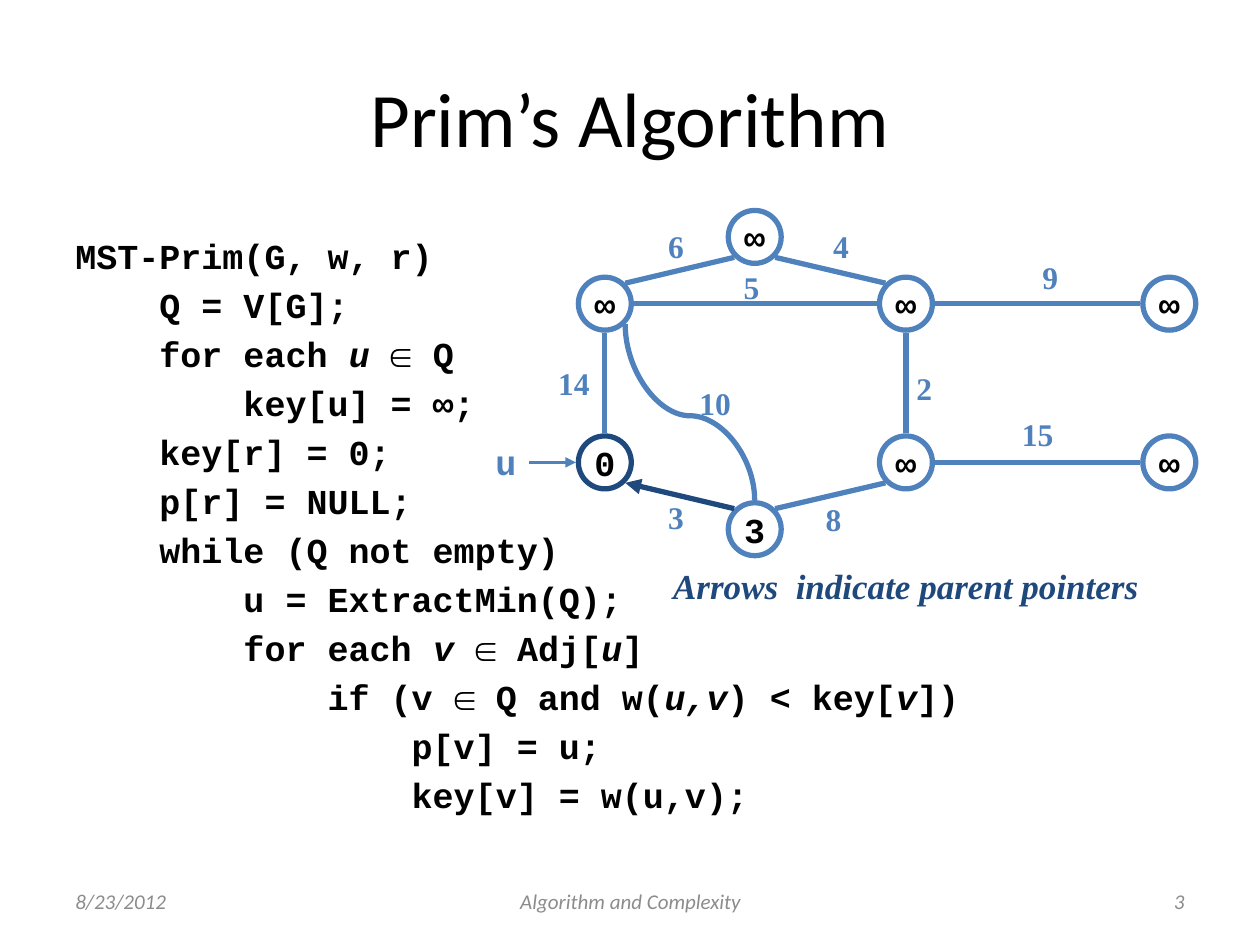
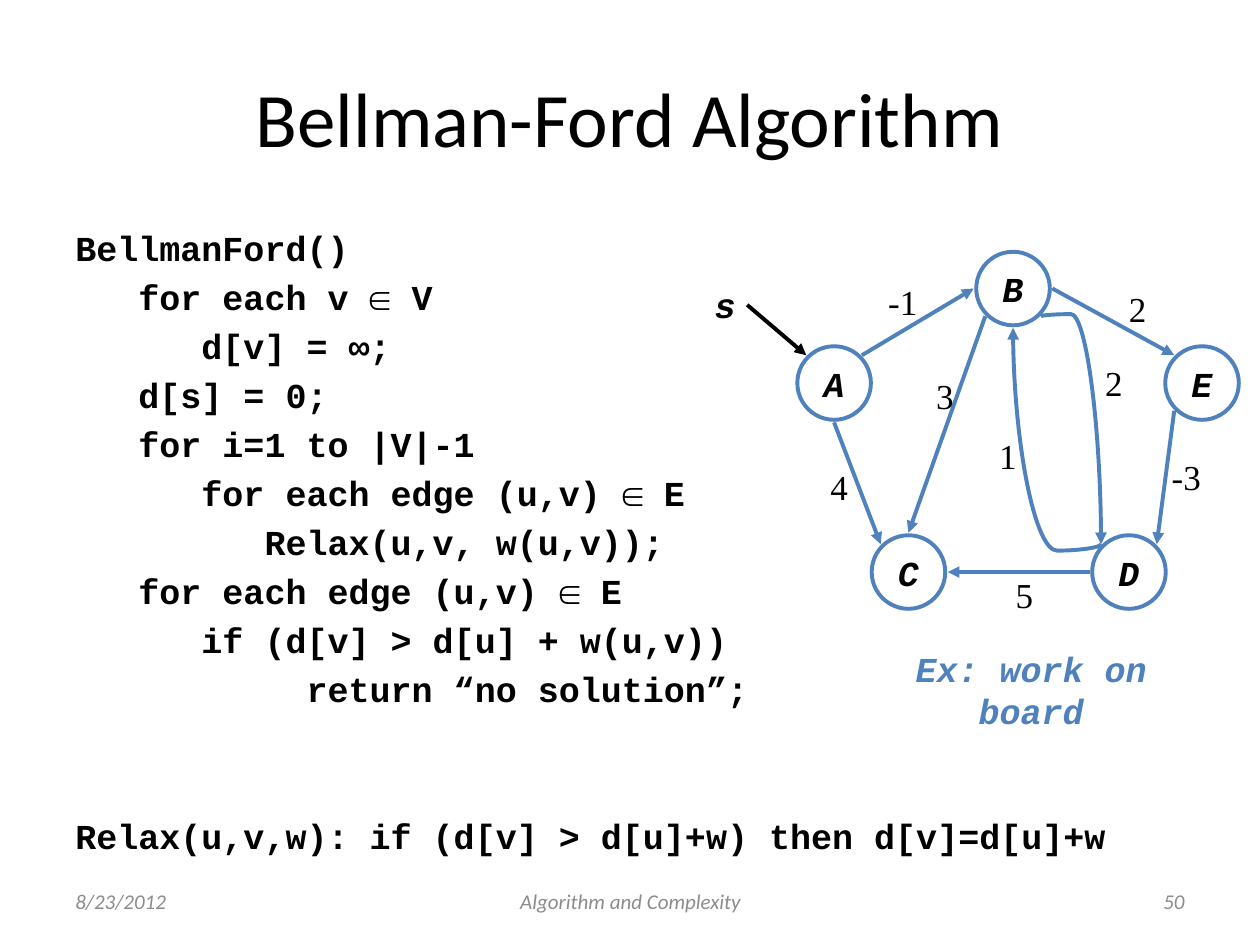
import dataclasses
import typing

import lxml.etree
import pptx
import pptx.dml.color
import pptx.enum.shapes
import pptx.enum.text
import pptx.oxml.ns
import pptx.util

COLS, ROWS = 100, 75
WIDTH, HEIGHT = pptx.util.Inches(10), pptx.util.Inches(7.5)
BLUE, NAVY, BLACK, GREY, WHITE = "4F81BD", "1F497D", "000000", "8C8C8C", "FFFFFF"
SANS, MONO, SERIF = "Calibri", "Courier New", "Times New Roman"
ALIGN = pptx.enum.text.PP_ALIGN
ANCHOR = pptx.enum.text.MSO_ANCHOR
EDGE_GAP = 0.2
DIAGONAL = 0.707
COMPASS = {
    "N": (0, -1), "S": (0, 1), "E": (1, 0), "W": (-1, 0),
    "NE": (DIAGONAL, -DIAGONAL), "NW": (-DIAGONAL, -DIAGONAL),
    "SE": (DIAGONAL, DIAGONAL), "SW": (-DIAGONAL, DIAGONAL),
}


class Point(typing.NamedTuple):
    col: float
    row: float


@dataclasses.dataclass(frozen=True)
class Style:
    font: str
    size: float
    color: str = BLACK
    bold: bool = False
    italic: bool = False


@dataclasses.dataclass(frozen=True)
class Node:
    text: str
    col: float
    row: float
    radius: float
    line: str = BLUE

    def at(self, side: str) -> Point:
        dx, dy = COMPASS[side]
        reach = self.radius + EDGE_GAP
        return Point(self.col + dx * reach, self.row + dy * reach)


@dataclasses.dataclass(frozen=True)
class Edge:
    start: Point
    end: Point
    weight: float
    color: str = BLUE
    arrow: str = ""
    bend: float = 0


@dataclasses.dataclass(frozen=True)
class Label:
    text: str
    col: float
    row: float
    style: Style
    width: float = 5
    height: float = 4.3
    wrap: bool = False


CODE = Style(MONO, 20, bold=True)
CODE_ITALIC = dataclasses.replace(CODE, italic=True)
PRIM_WEIGHT = Style(SERIF, 18, BLUE, bold=True)
BELLMAN_WEIGHT = Style(SERIF, 20)
FOOTER = Style(SANS, 12, GREY, italic=True)

PRIM_CODE = """MST-Prim(G, w, r)
    Q = V[G];
    for each *u *∈ Q
        key[u] = ∞;
    key[r] = 0;
    p[r] = NULL;
    while (Q not empty)
        u = ExtractMin(Q);
        for each *v *∈ Adj[*u*]
            if (v ∈ Q and w(*u,v*) < key[*v*])
                p[v] = u;
                key[v] = w(u,v);"""

BELLMAN_CODE = """BellmanFord()
   for each v ∈ V
      d[v] = ∞;
   d[s] = 0;
   for i=1 to |V|-1
      for each edge (u,v) ∈ E
         Relax(u,v, w(u,v));
   for each edge (u,v) ∈ E
      if (d[v] > d[u] + w(u,v))
           return “no solution”;
Relax(u,v,w): if (d[v] > d[u]+w) then d[v]=d[u]+w"""


def x(col: float) -> int:
    return round(WIDTH * col / COLS)


def y(row: float) -> int:
    return round(HEIGHT * row / ROWS)


def rgb(color: str) -> pptx.dml.color.RGBColor:
    return pptx.dml.color.RGBColor.from_string(color)


def set_font(p, style: Style) -> None:
    p.font.name = style.font
    p.font.size = pptx.util.Pt(style.size)
    p.font.bold = style.bold
    p.font.italic = style.italic
    p.font.color.rgb = rgb(style.color)


def write(tf, text: str, style: Style, align=ALIGN.CENTER, wrap: bool = True) -> None:
    tf.word_wrap = wrap
    tf.vertical_anchor = ANCHOR.MIDDLE
    p = tf.paragraphs[0]
    p.alignment = align
    p.add_run().text = text
    set_font(p, style)


def add_text(s, text: str, style: Style, col: float, row: float, width: float,
             height: float, align=ALIGN.CENTER, wrap: bool = True) -> None:
    sp = s.shapes.add_textbox(x(col), y(row), x(width), y(height))
    write(sp.text_frame, text, style, align, wrap)


def add_code(s, code: str, row: float, gaps: dict[int, float]) -> None:
    tf = s.shapes.add_textbox(x(5), y(row), x(90), y(67 - row)).text_frame
    tf.word_wrap = True
    for i, line in enumerate(code.splitlines()):
        p = tf.add_paragraph() if i else tf.paragraphs[0]
        p.space_before = pptx.util.Pt(gaps.get(i, 4) if i else 0)
        for k, part in enumerate(line.split("*")):
            if part:
                r = p.add_run()
                r.text = part
                if k % 2:
                    r.font.italic = True
        set_font(p, CODE)


def add_node(s, node: Node, style: Style, weight: float, fill: str = "") -> None:
    side = 2 * node.radius
    sp = s.shapes.add_shape(pptx.enum.shapes.MSO_SHAPE.OVAL, x(node.col - node.radius),
                            y(node.row - node.radius), x(side), y(side))
    sp.shadow.inherit = False
    if fill:
        sp.fill.solid()
        sp.fill.fore_color.rgb = rgb(fill)
    else:
        sp.fill.background()
    sp.line.color.rgb = rgb(node.line)
    sp.line.width = pptx.util.Pt(weight)
    write(sp.text_frame, node.text, style, wrap=False)


def bend_connector(c, edge: Edge) -> None:
    (c0, r0), (c1, r1) = edge.start, edge.end
    width, height = y(abs(r1 - r0)), x(abs(c1 - c0))
    c.left = x((c0 + c1) / 2) - width // 2
    c.top = y((r0 + r1) / 2) - height // 2
    c.width, c.height = width, height
    xfrm = c._element.spPr.find(pptx.oxml.ns.qn("a:xfrm"))
    for flip in ("flipH", "flipV"):
        xfrm.attrib.pop(flip, None)
    xfrm.set("flipH", "1")
    xfrm.set("rot", str((90 if r1 < r0 else 270) * 60000))
    geom = c._element.spPr.find(pptx.oxml.ns.qn("a:prstGeom"))
    guides = geom.find(pptx.oxml.ns.qn("a:avLst"))
    if guides is None:
        guides = lxml.etree.SubElement(geom, pptx.oxml.ns.qn("a:avLst"))
    lxml.etree.SubElement(guides, pptx.oxml.ns.qn("a:gd"), name="adj1",
                          fmla=f"val {round(edge.bend * 100000)}")


def add_edge(s, edge: Edge) -> None:
    kinds = pptx.enum.shapes.MSO_CONNECTOR
    c = s.shapes.add_connector(kinds.CURVE if edge.bend else kinds.STRAIGHT,
                               x(edge.start.col), y(edge.start.row),
                               x(edge.end.col), y(edge.end.row))
    if edge.bend:
        bend_connector(c, edge)
    c.line.color.rgb = rgb(edge.color)
    c.line.width = pptx.util.Pt(edge.weight)
    if edge.arrow:
        lxml.etree.SubElement(c.line._get_or_add_ln(),
                              pptx.oxml.ns.qn(f"a:{edge.arrow}End"), type="triangle")
    lxml.etree.SubElement(c._element.spPr, pptx.oxml.ns.qn("a:effectLst"))


def add_label(s, label: Label) -> None:
    add_text(s, label.text, label.style, label.col - label.width / 2,
             label.row - label.height / 2, label.width, label.height, wrap=label.wrap)


def add_slide(prs, title: str, number: int):
    s = prs.slides.add_slide(prs.slide_layouts[6])
    add_text(s, title, Style(SANS, 44), 5, 3, 90, 12.5)
    add_text(s, "8/23/2012", FOOTER, 5, 69.5, 23.3, 4, ALIGN.LEFT)
    add_text(s, "Algorithm and Complexity", FOOTER, 34.2, 69.5, 31.7, 4)
    add_text(s, str(number), FOOTER, 71.7, 69.5, 23.3, 4, ALIGN.RIGHT)
    return s


def add_graph(s, edges: list[Edge], labels: list[Label]) -> None:
    for edge in edges:
        add_edge(s, edge)
    for label in labels:
        add_label(s, label)


def build_prim(prs) -> None:
    s = add_slide(prs, "Prim’s Algorithm", 3)
    add_code(s, PRIM_CODE, 18.1, {})
    radius, weight = 2.1, 3
    left, middle, right, far = 48, 59.9, 71.9, 92.8
    upper, lower = 24.1, 36.7
    top = Node("∞", middle, 18.8, radius)
    bottom = Node("3", middle, 42, radius)
    west, east, far_east = (Node("∞", col, upper, radius) for col in (left, right, far))
    root = Node("0", left, lower, radius, NAVY)
    south, far_south = (Node("∞", col, lower, radius) for col in (right, far))
    for node in (west, east, far_east, root, south, far_south, bottom, top):
        add_node(s, node, CODE, weight)
    links = [
        (top, "SE", east, "NW"), (top, "SW", west, "NE"), (west, "E", east, "W"),
        (root, "N", west, "S"), (bottom, "NE", south, "SW"), (south, "N", east, "S"),
        (east, "E", far_east, "W"), (south, "E", far_south, "W"),
    ]
    edges = [Edge(a.at(i), b.at(j), weight) for a, i, b, j in links]
    edges += [
        Edge(root.at("SE"), bottom.at("NW"), weight, NAVY, "head"),
        Edge(bottom.at("N"), west.at("SE"), weight, bend=0.48),
        Edge(Point(42, lower), root.at("W"), 1.5, arrow="tail"),
    ]
    weights = [
        ("14", 45.55, 30.4), ("10", 56.75, 32), ("3", 53.65, 41), ("6", 53.65, 19.5),
        ("4", 66.75, 19.5), ("5", 59.65, 22.8), ("2", 73.35, 30.8), ("9", 83.35, 22),
        ("15", 82.35, 34.4), ("8", 66.15, 41.2),
    ]
    labels = [Label(*item, PRIM_WEIGHT) for item in weights]
    labels += [
        Label("Arrows  indicate parent pointers", 71.9, 46.5,
              Style(SERIF, 20, NAVY, True, True), 39.2),
        Label("u", 40.15, 36.65, dataclasses.replace(CODE, color=BLUE)),
    ]
    add_graph(s, edges, labels)


def build_bellman_ford(prs) -> None:
    s = add_slide(prs, "Bellman-Ford Algorithm", 50)
    add_code(s, BELLMAN_CODE, 17.5, {10: 60})
    radius, weight = 2.92, 2.25
    b = Node("B", 80.4, 22.9, radius)
    e = Node("E", 95.4, 30.4, radius)
    d = Node("D", 89.6, 45.4, radius)
    c = Node("C", 72.1, 45.4, radius)
    a = Node("A", 66.2, 30.4, radius)
    for node in (b, e, d, c, a):
        add_node(s, node, CODE_ITALIC, weight, WHITE)
    links = [
        (a, "NE", b, "W"), (b, "E", e, "NW"), (e, "SW", d, "NE"),
        (d, "W", c, "E"), (a, "S", c, "NW"), (b, "SW", c, "N"),
    ]
    edges = [Edge(m.at(i), n.at(j), weight, arrow="tail") for m, i, n, j in links]
    edges += [
        Edge(b.at("S"), d.at("NW"), weight, arrow="head", bend=1.03),
        Edge(d.at("NW"), b.at("SE"), weight, arrow="head", bend=1.01),
        Edge(Point(59.3, 24.2), a.at("NW"), weight, BLACK, "tail"),
    ]
    weights = [
        ("-1", 71.65, 23.95), ("2", 90.3, 24.45), ("2", 88.4, 30.35), ("1", 80, 36.15),
        ("-3", 94.15, 37.85), ("5", 81.3, 47.15), ("3", 75, 31.35), ("4", 66.6, 38.65),
    ]
    labels = [Label(*item, BELLMAN_WEIGHT) for item in weights]
    labels += [
        Label("Ex: work on board", 81.85, 54.7,
              dataclasses.replace(CODE_ITALIC, color=BLUE), 29, 7.8, True),
        Label("s", 57.55, 24.15, CODE_ITALIC),
    ]
    add_graph(s, edges, labels)


def main() -> None:
    prs = pptx.Presentation()
    prs.slide_width, prs.slide_height = WIDTH, HEIGHT
    build_prim(prs)
    build_bellman_ford(prs)
    prs.save("out.pptx")


if __name__ == "__main__":
    main()
